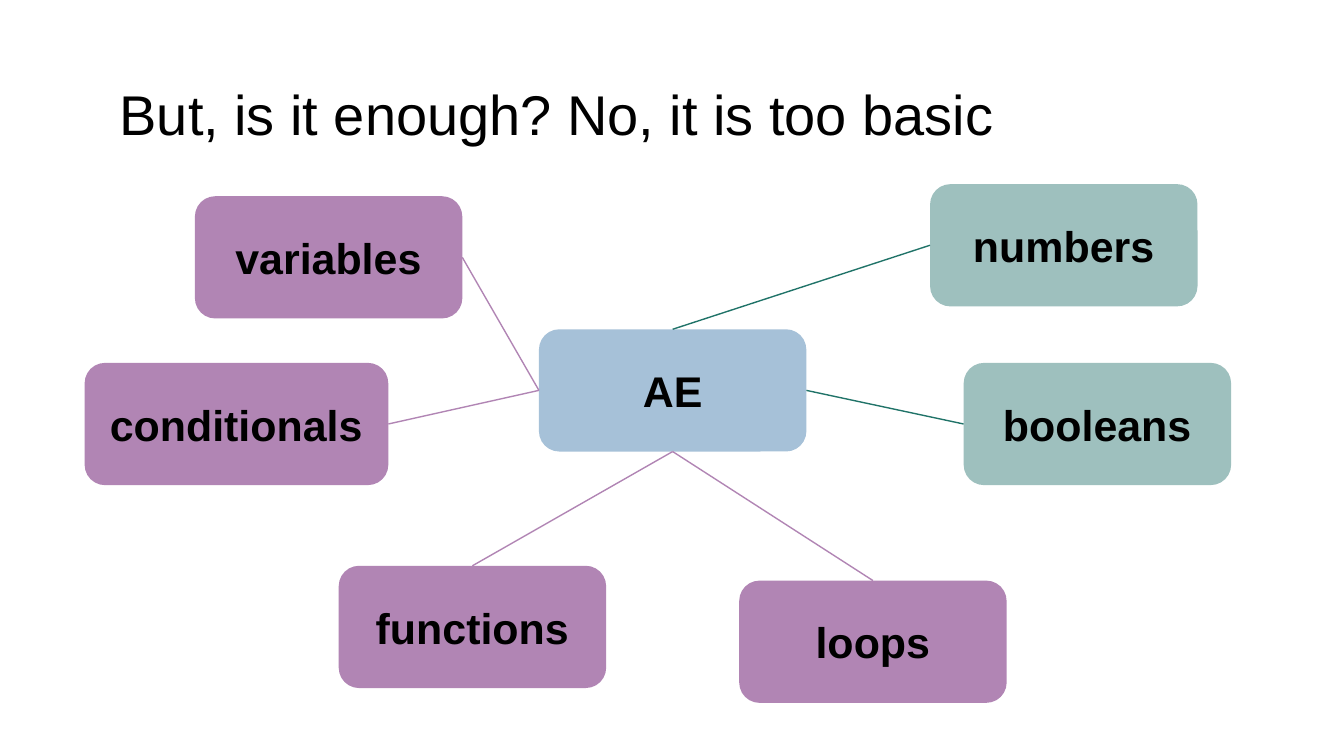
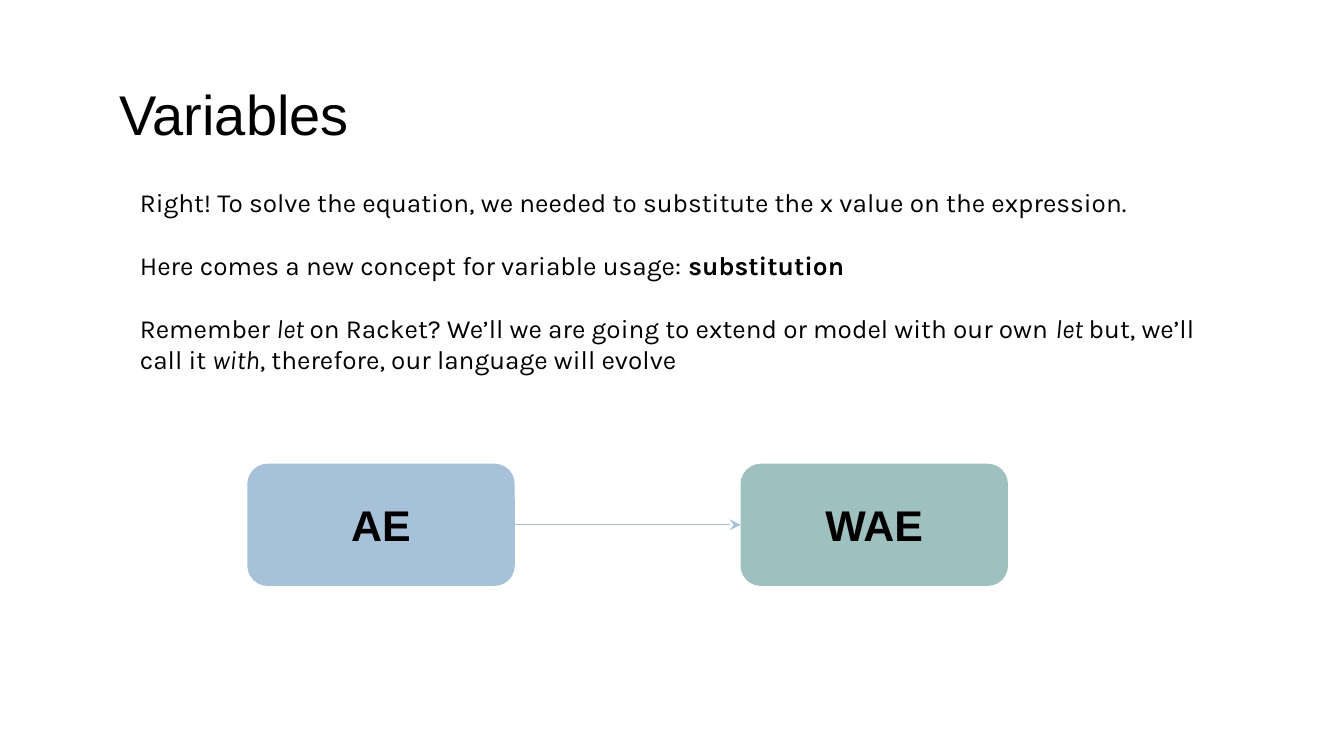
"""Build two slides on extending the AE language with variables."""
import pptx
import pptx.dml.color
import pptx.enum.shapes
import pptx.enum.text
import pptx.oxml
import pptx.oxml.ns
import pptx.util

Inches, Pt = pptx.util.Inches, pptx.util.Pt
RGB = pptx.dml.color.RGBColor
ALIGN, ANCHOR = pptx.enum.text.PP_ALIGN, pptx.enum.text.MSO_ANCHOR

BLACK = RGB(0x00, 0x00, 0x00)
BLUE = RGB(0xA6, 0xC1, 0xD8)
GREEN = RGB(0x9E, 0xC0, 0xBE)
TEAL = RGB(0x20, 0x73, 0x68)
PURPLE = RGB(0xB1, 0x85, 0xB4)

SLIDE_WIDTH = 10
SLIDE_HEIGHT = SLIDE_WIDTH * 9 / 16
TITLE_AREA = (0.79, 0.49, 8.43, 0.63)
BODY_AREA = (0.94, 1.29, 8.27, 2.15)
NODE_WIDTH, WIDE_NODE, NODE_HEIGHT = 1.99, 2.26, 0.91
INSET = 0.1
TOP, LEFT, BOTTOM, RIGHT = range(4)
TITLE_ONLY, TITLE_AND_BODY = 5, 1

PLAIN, BOLD, ITALIC = "plain", "bold", "italic"

SLIDES = [
    {
        "title": "But, is it enough? No, it is too basic",
        "body": [],
        "nodes": {
            "AE": (4.01, 2.45, NODE_WIDTH, BLUE),
            "numbers": (6.92, 1.37, NODE_WIDTH, GREEN),
            "booleans": (7.17, 2.7, NODE_WIDTH, GREEN),
            "variables": (1.45, 1.46, NODE_WIDTH, PURPLE),
            "conditionals": (0.63, 2.7, WIDE_NODE, PURPLE),
            "functions": (2.52, 4.21, NODE_WIDTH, PURPLE),
            "loops": (5.5, 4.32, NODE_WIDTH, PURPLE),
        },
        "links": [
            ("numbers", LEFT, "AE", TOP, TEAL, False),
            ("AE", RIGHT, "booleans", LEFT, TEAL, False),
            ("AE", BOTTOM, "loops", TOP, PURPLE, False),
            ("AE", BOTTOM, "functions", TOP, PURPLE, False),
            ("AE", LEFT, "conditionals", RIGHT, PURPLE, False),
            ("AE", LEFT, "variables", RIGHT, PURPLE, False),
        ],
    },
    {
        "title": "Variables",
        "body": [
            [("Right! To solve the equation, we needed to substitute "
              "the x value on the expression.", PLAIN)],
            [("Here comes a new concept for variable usage: ", PLAIN),
             ("substitution", BOLD)],
            [("Remember ", PLAIN), ("let ", ITALIC),
             ("on Racket? We’ll we are going to extend or model with our own ", PLAIN),
             ("let ", ITALIC), ("but, we’ll call it ", PLAIN), ("with", ITALIC),
             (", therefore, our language will evolve", PLAIN)],
        ],
        "nodes": {
            "AE": (1.84, 3.45, NODE_WIDTH, BLUE),
            "WAE": (5.51, 3.45, NODE_WIDTH, GREEN),
        },
        "links": [("AE", RIGHT, "WAE", LEFT, BLUE, True)],
    },
]


def place(holder, area):
    holder.left, holder.top, holder.width, holder.height = map(Inches, area)


def set_frame(frame, anchor):
    frame.auto_size = pptx.enum.text.MSO_AUTO_SIZE.NONE
    frame.word_wrap = True
    frame.vertical_anchor = anchor
    frame.margin_left = frame.margin_right = Inches(INSET)
    frame.margin_top = frame.margin_bottom = Inches(INSET)


def style(paragraph, face, size, align, bold=None):
    paragraph.alignment = align
    font = paragraph.font
    font.name, font.size, font.bold = face, Pt(size), bold
    font.color.rgb = BLACK


def write_title(title, words):
    place(title, TITLE_AREA)
    title.text_frame.text = words
    set_frame(title.text_frame, ANCHOR.TOP)
    style(title.text_frame.paragraphs[0], "Arial", 30, ALIGN.LEFT)


def write_body(body, paragraphs):
    place(body, BODY_AREA)
    frame = body.text_frame
    set_frame(frame, ANCHOR.TOP)
    for index, pieces in enumerate(paragraphs):
        paragraph = frame.add_paragraph() if index else frame.paragraphs[0]
        style(paragraph, "Karla", 14, ALIGN.LEFT)
        paragraph.space_before, paragraph.space_after = Pt(0), Pt(16.8)
        properties = paragraph._p.get_or_add_pPr()
        properties.set("marL", "0")
        properties.set("indent", "0")
        add_element(properties, "a:buNone", before="a:defRPr")
        for words, emphasis in pieces:
            run = paragraph.add_run()
            run.text = words
            if emphasis == BOLD:
                run.font.bold = True
            elif emphasis == ITALIC:
                run.font.italic = True


def add_element(parent, tag, before=None, **attributes):
    element = pptx.oxml.parse_xml(f"<{tag} {pptx.oxml.ns.nsdecls('a')}/>")
    for key, value in attributes.items():
        element.set(key, value)
    successor = parent.find(pptx.oxml.ns.qn(before)) if before else None
    if successor is None:
        parent.append(element)
    else:
        successor.addprevious(element)


def add_node(slide, label, left, top, width, color):
    node = slide.shapes.add_shape(
        pptx.enum.shapes.MSO_SHAPE.ROUNDED_RECTANGLE,
        *map(Inches, (left, top, width, NODE_HEIGHT)))
    node.shadow.inherit = False
    node.fill.solid()
    node.fill.fore_color.rgb = color
    node.line.fill.background()
    node.text_frame.text = label
    set_frame(node.text_frame, ANCHOR.MIDDLE)
    style(node.text_frame.paragraphs[0], "Arial", 23, ALIGN.CENTER, bold=True)
    return node


def add_link(slide, start, start_side, end, end_side, color, arrow):
    link = slide.shapes.add_connector(
        pptx.enum.shapes.MSO_CONNECTOR.STRAIGHT, 0, 0, 0, 0)
    link.begin_connect(start, start_side)
    link.end_connect(end, end_side)
    link.line.color.rgb = color
    link.line.width = Pt(0.75)
    if arrow:
        add_element(link.line._get_or_add_ln(), "a:tailEnd", type="stealth")
    add_element(link._element.spPr, "a:effectLst")


def build_slide(deck, content):
    layout = TITLE_AND_BODY if content["body"] else TITLE_ONLY
    slide = deck.slides.add_slide(deck.slide_layouts[layout])
    write_title(slide.shapes.title, content["title"])
    if content["body"]:
        write_body(slide.placeholders[1], content["body"])
    nodes = {label: add_node(slide, label, *look)
             for label, look in content["nodes"].items()}
    for start, start_side, end, end_side, color, arrow in content["links"]:
        add_link(slide, nodes[start], start_side, nodes[end], end_side, color, arrow)


def main():
    deck = pptx.Presentation()
    deck.slide_width, deck.slide_height = Inches(SLIDE_WIDTH), Inches(SLIDE_HEIGHT)
    for content in SLIDES:
        build_slide(deck, content)
    deck.save("out.pptx")


if __name__ == "__main__":
    main()
